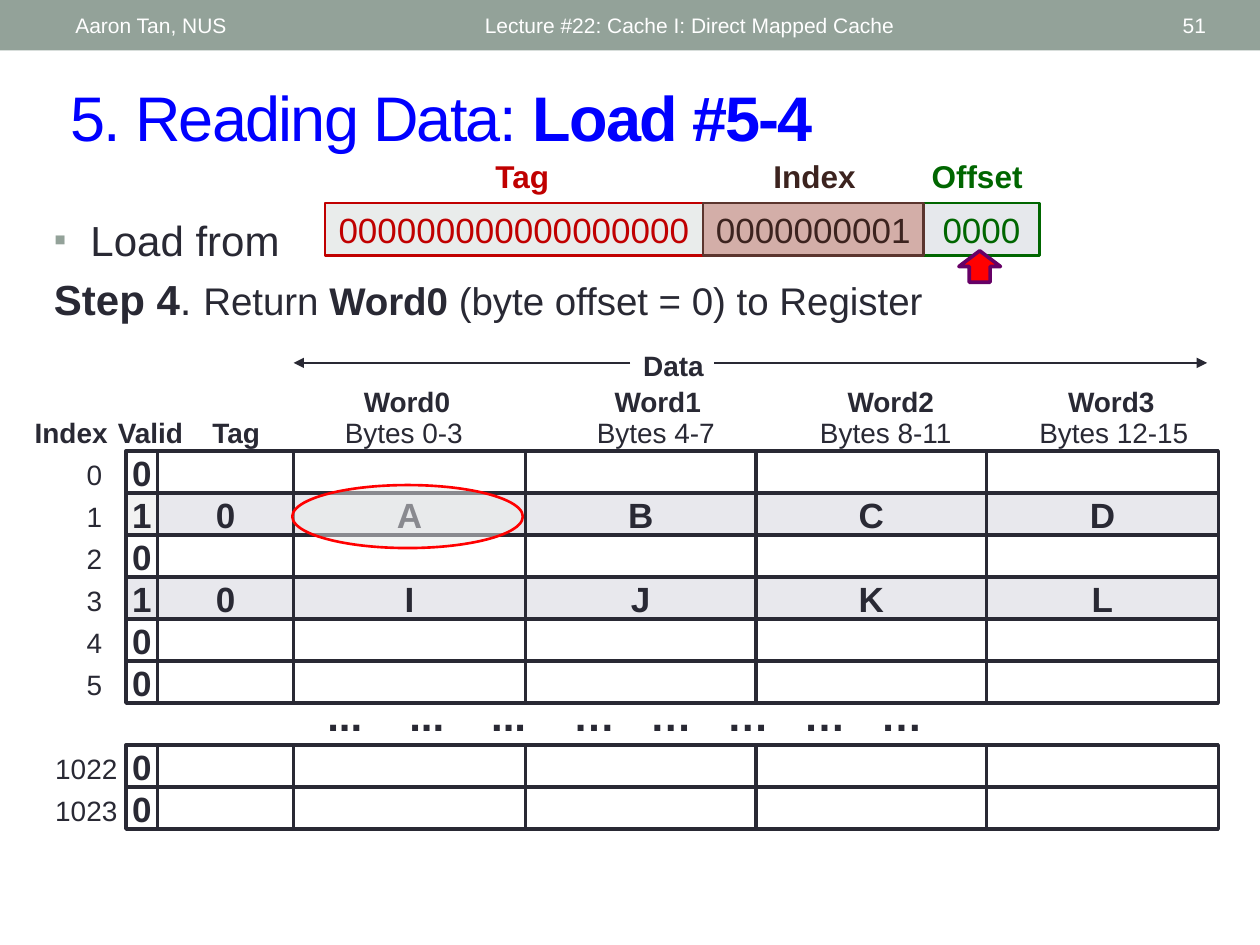
"""Build a lecture slide on reading data from a direct mapped cache."""
from dataclasses import dataclass
from typing import Optional

from lxml import etree
from pptx import Presentation
from pptx import util as u
from pptx.dml.color import RGBColor
from pptx.enum import shapes, text
from pptx.oxml.ns import qn

INK, SAGE, SHADE, WHITE = "292934", "93A299", "E8E8ED", "FFFFFF"
RED, BROWN, GREEN = "C00000", "3C231F", "006600"
KIND = shapes.MSO_SHAPE
ALIGN = {"l": text.PP_ALIGN.LEFT, "c": text.PP_ALIGN.CENTER, "r": text.PP_ALIGN.RIGHT}
TOP, STEP = 3.58, 1 / 3
EDGES = [1, 1.25, 2.33, 4.17, 6, 7.83, 9.67]


@dataclass
class Field:
    name: str
    bits: str
    left: float
    width: float
    name_left: float
    name_width: float
    ink: str
    fill: str
    line: str


@dataclass
class Row:
    index: str
    slot: int
    cells: str = "0"
    fill: Optional[str] = None
    flag: Optional[str] = None


@dataclass
class Label:
    words: str
    left: float
    top: float
    width: float
    bold: bool = True


FIELDS = [
    Field("Tag", "0" * 18, 2.58, 3, 3.75, 0.79, RED, "E9ECEB", RED),
    Field("Offset", "0000", 7.33, 0.92, 7.17, 1.17, GREEN, "E6E8EC", GREEN),
    Field("Index", "0000000001", 5.58, 1.75, 5.92, 1.09, BROWN, "D3AEA8", "5B352E"),
]
ROWS = [
    Row("0", 0),
    Row("1", 1, "10ABCD", SHADE, "F2F2F2"),
    Row("2", 2),
    Row("3", 3, "10IJKL", SHADE, SHADE),
    Row("4", 4),
    Row("5", 5),
    Row("1022", 7),
    Row("1023", 8),
]
LABELS = [
    Label("Index", 0.17, 3.25, 0.79),
    Label("Valid", 0.83, 3.25, 0.73),
    Label("Tag", 1.58, 3.25, 0.59),
    Label("Data", 5, 2.72, 0.69),
    Label("Word0", 2.78, 3, 0.9),
    Label("Word1", 4.77, 3, 0.9),
    Label("Word2", 6.62, 3, 0.9),
    Label("Word3", 8.37, 3, 0.9),
    Label("Bytes 0-3", 2.63, 3.25, 1.15, False),
    Label("Bytes 4-7", 4.63, 3.25, 1.15, False),
    Label("Bytes 8-11", 6.4, 3.25, 1.26, False),
    Label("Bytes 12-15", 8.14, 3.25, 1.4, False),
]


def tint(code: str) -> RGBColor:
    """Turn a hex string into a colour."""
    return RGBColor.from_string(code)


def place(left: float, top: float, width: float, height: float) -> list:
    """Give a box in inches as lengths."""
    return [u.Inches(n) for n in (left, top, width, height)]


def write(frame, words: str, *, size: float, ink: str = INK, bold: bool = False,
          align: str = "l", middle: bool = False, wrap: bool = True, para=None):
    """Add a run of text to a frame and return the run."""
    frame.word_wrap = wrap
    frame.vertical_anchor = text.MSO_ANCHOR.MIDDLE if middle else text.MSO_ANCHOR.TOP
    para = para or frame.paragraphs[0]
    para.alignment = ALIGN[align]
    run = para.add_run()
    run.text = words
    run.font.name, run.font.size, run.font.bold = "Arial", u.Pt(size), bold
    run.font.color.rgb = tint(ink)
    return run


def add_text(slide, box: tuple, words: str, **look):
    """Add a text box and return its frame."""
    frame = slide.shapes.add_textbox(*place(*box)).text_frame
    write(frame, words, **look)
    return frame


def add_block(slide, kind, box: tuple, fill: Optional[str] = None,
              line: Optional[str] = None, weight: float = 1.5):
    """Add a preset shape with a plain look."""
    block = slide.shapes.add_shape(kind, *place(*box))
    block.shadow.inherit = False
    if fill:
        block.fill.solid()
        block.fill.fore_color.rgb = tint(fill)
    else:
        block.fill.background()
    if line:
        block.line.color.rgb = tint(line)
        block.line.width = u.Pt(weight)
    else:
        block.line.fill.background()
    return block


def add_arrow(slide, start: float, end: float, top: float) -> None:
    """Draw a level line with a head at its end."""
    line = slide.shapes.add_connector(shapes.MSO_CONNECTOR.STRAIGHT, u.Inches(start),
                                      u.Inches(top), u.Inches(end), u.Inches(top))
    line.line.color.rgb = tint(INK)
    line.line.width = u.Pt(0.75)
    etree.SubElement(line.line._get_or_add_ln(), qn("a:tailEnd"), type="triangle")
    etree.SubElement(line._element.spPr, qn("a:effectLst"))


def draw_head(slide) -> None:
    """Draw the top band and the title."""
    add_block(slide, KIND.RECTANGLE, (0, 0, 10, 0.4), SAGE)
    for words, left, width, align in (
        ("Lecture #22: Cache I: Direct Mapped Cache", 3.75, 4.5, "l"),
        ("51", 8.72, 0.95, "r"),
        ("Aaron Tan, NUS", 0.5, 3.17, "l"),
    ):
        add_text(slide, (left, 0.02, width, 0.36), words, size=12, ink=WHITE,
                 align=align, middle=True)
    look = dict(size=36, ink="0000FF", middle=True)
    frame = add_text(slide, (0.46, 0.57, 9.21, 0.7), "5. Reading Data: ", **look)
    write(frame, "Load #5-4", bold=True, **look)
    for run in frame.paragraphs[0].runs:
        run.font._element.set("spc", "-100")


def draw_body(slide) -> None:
    """Write the bullet and the step below it."""
    frame = slide.shapes.add_textbox(*place(0.33, 1.6, 9.34, 1.05)).text_frame
    frame.margin_top = u.Inches(0.1)
    props = frame.paragraphs[0]._p.get_or_add_pPr()
    props.set("marL", str(u.Inches(0.29)))
    props.set("indent", str(u.Inches(-0.29)))
    shade = etree.SubElement(props, qn("a:buClr"))
    etree.SubElement(shade, qn("a:srgbClr"), val=SAGE)
    etree.SubElement(props, qn("a:buSzPct"), val="85000")
    etree.SubElement(props, qn("a:buFont"), typeface="Arial")
    etree.SubElement(props, qn("a:buChar"), char="▪")
    write(frame, "Load from", size=24)
    para = frame.add_paragraph()
    para.space_before = u.Pt(4.8)
    for words, size, bold in (("Step 4", 24, True), (". ", 24, False),
                              ("Return ", 22, False), ("Word0", 22, True),
                              (" (byte offset = 0) to Register", 22, False)):
        write(frame, words, size=size, bold=bold, para=para)


def draw_field(slide, field: Field) -> None:
    """Draw one part of the address with its name."""
    block = add_block(slide, KIND.RECTANGLE, (field.left, 1.61, field.width, 0.42),
                      field.fill, field.line)
    write(block.text_frame, field.bits, size=20, ink=field.ink, align="c",
          middle=True, wrap=False)
    add_text(slide, (field.name_left, 1.2, field.name_width, 0.4), field.name,
             size=18, ink=field.ink, bold=True, align="c")


def draw_row(slide, row: Row) -> None:
    """Draw one cache line with its index."""
    top = TOP + row.slot * STEP
    for col, (left, right) in enumerate(zip(EDGES, EDGES[1:])):
        cell = add_block(slide, KIND.RECTANGLE, (left, top, right - left, STEP),
                         row.fill if col else row.flag, INK, 2)
        if col < len(row.cells):
            write(cell.text_frame, row.cells[col], size=20, bold=True, align="c",
                  middle=True, wrap=False)
    left, width = (0.58, 0.34) if len(row.index) == 1 else (0.33, 0.71)
    add_text(slide, (left, top, width, 0.37), row.index, size=16, align="c", wrap=False)


def draw_gap(slide) -> None:
    """Mark the rows left out with dots at even stops."""
    frame = slide.shapes.add_textbox(*place(2.5, 5.42, 5.5, 0.81)).text_frame
    stops = etree.SubElement(frame.paragraphs[0]._p.get_or_add_pPr(), qn("a:tabLst"))
    for spot in [0.65 * n for n in (1, 2, 3)] + [1.95 + 0.61 * n for n in (1, 2, 3, 4)]:
        etree.SubElement(stops, qn("a:tab"), pos=str(u.Inches(spot)), algn="l")
    write(frame, "\t".join(["..."] * 3 + ["…"] * 5), size=24, bold=True)


def draw_marks(slide) -> None:
    """Ring the word read and point at the offset."""
    ring = add_block(slide, KIND.OVAL, (2.32, 3.85, 1.83, 0.5), "E9ECEB", "FF0000")
    shade = ring._element.spPr.find(qn("a:solidFill"))[0]
    etree.SubElement(shade, qn("a:alpha"), val="50000")
    arrow = add_block(slide, KIND.LEFT_ARROW, (7.65, 1.95, 0.25, 0.33), "FF0000",
                      "660066", 2.08)
    arrow.rotation = 90


def main() -> None:
    """Build and save the slide."""
    deck = Presentation()
    deck.slide_width, deck.slide_height = u.Inches(10), u.Inches(7.5)
    slide = deck.slides.add_slide(deck.slide_layouts[6])
    draw_head(slide)
    draw_body(slide)
    for field in FIELDS:
        draw_field(slide, field)
    for row in ROWS:
        draw_row(slide, row)
    draw_gap(slide)
    for label in LABELS:
        add_text(slide, (label.left, label.top, label.width, 0.37), label.words,
                 size=16, bold=label.bold, align="c", wrap=False)
    add_arrow(slide, 5, 2.33, 2.88)
    add_arrow(slide, 5.67, 9.58, 2.88)
    draw_marks(slide)
    deck.save("out.pptx")


if __name__ == "__main__":
    main()
